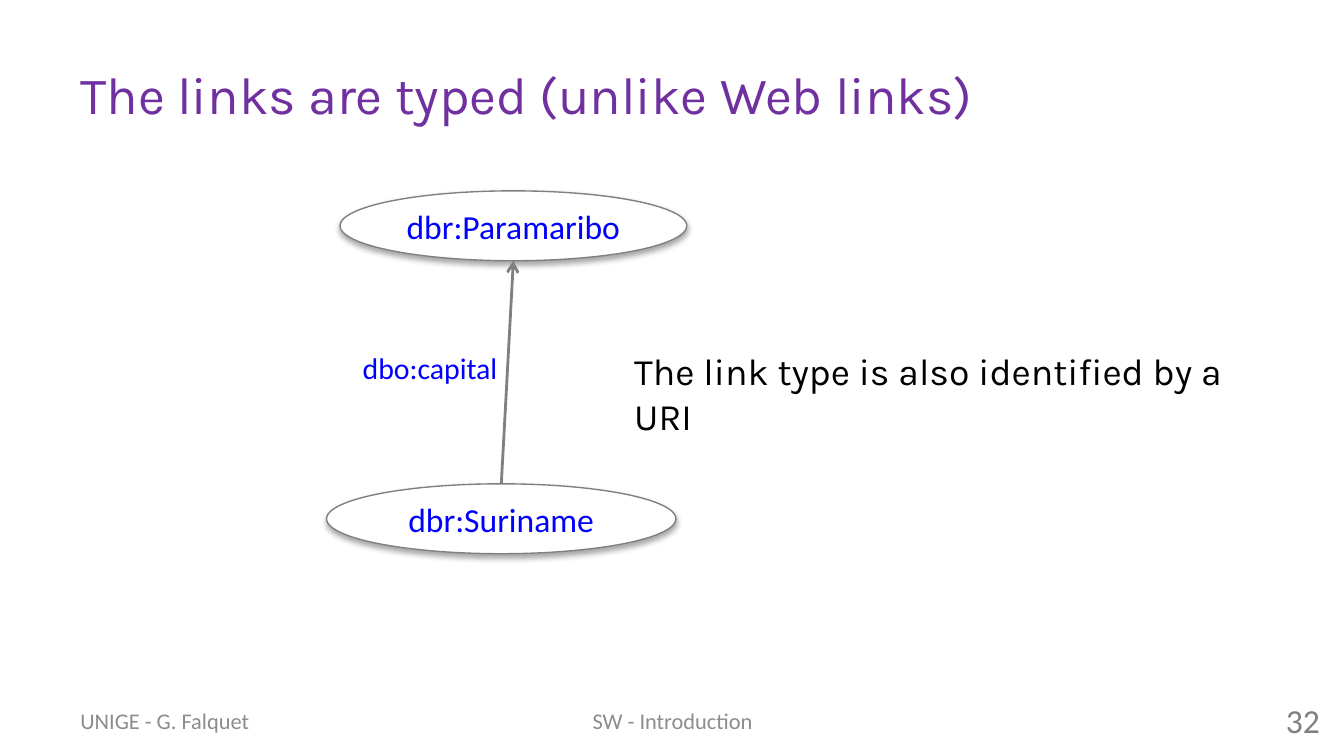
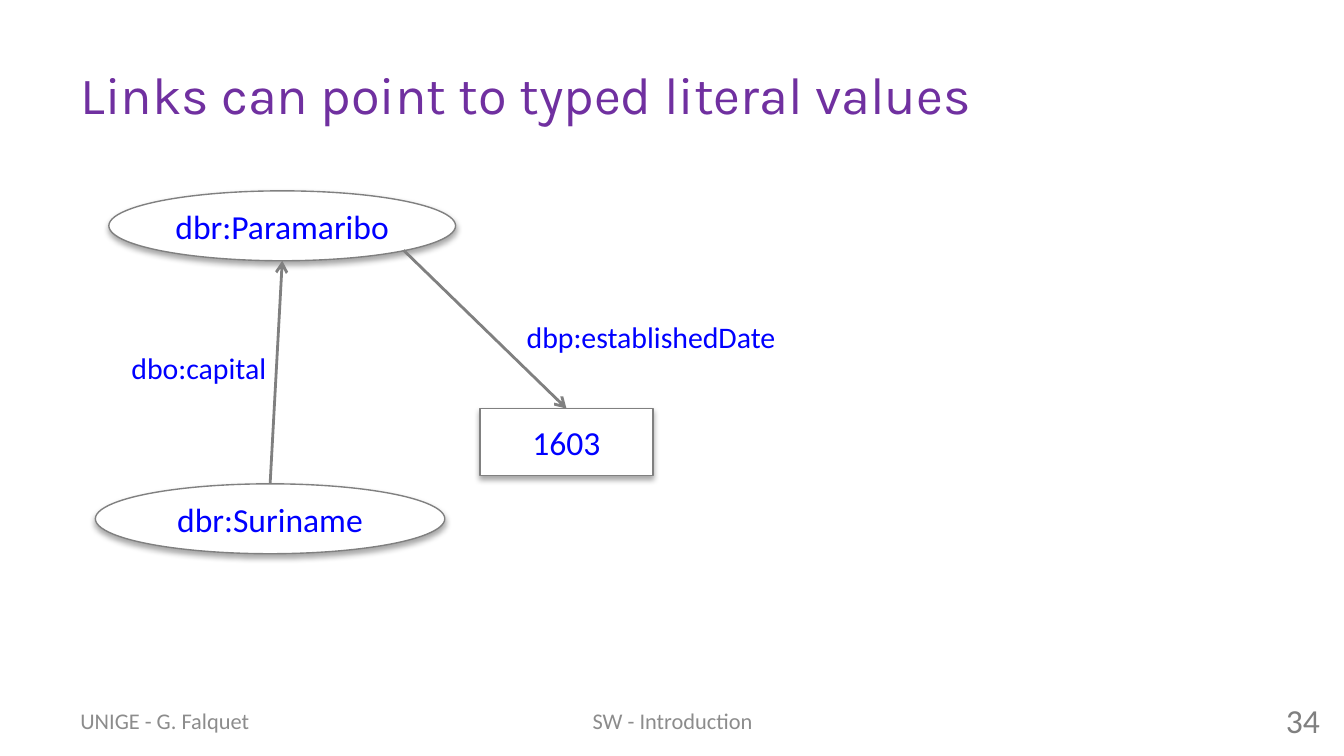
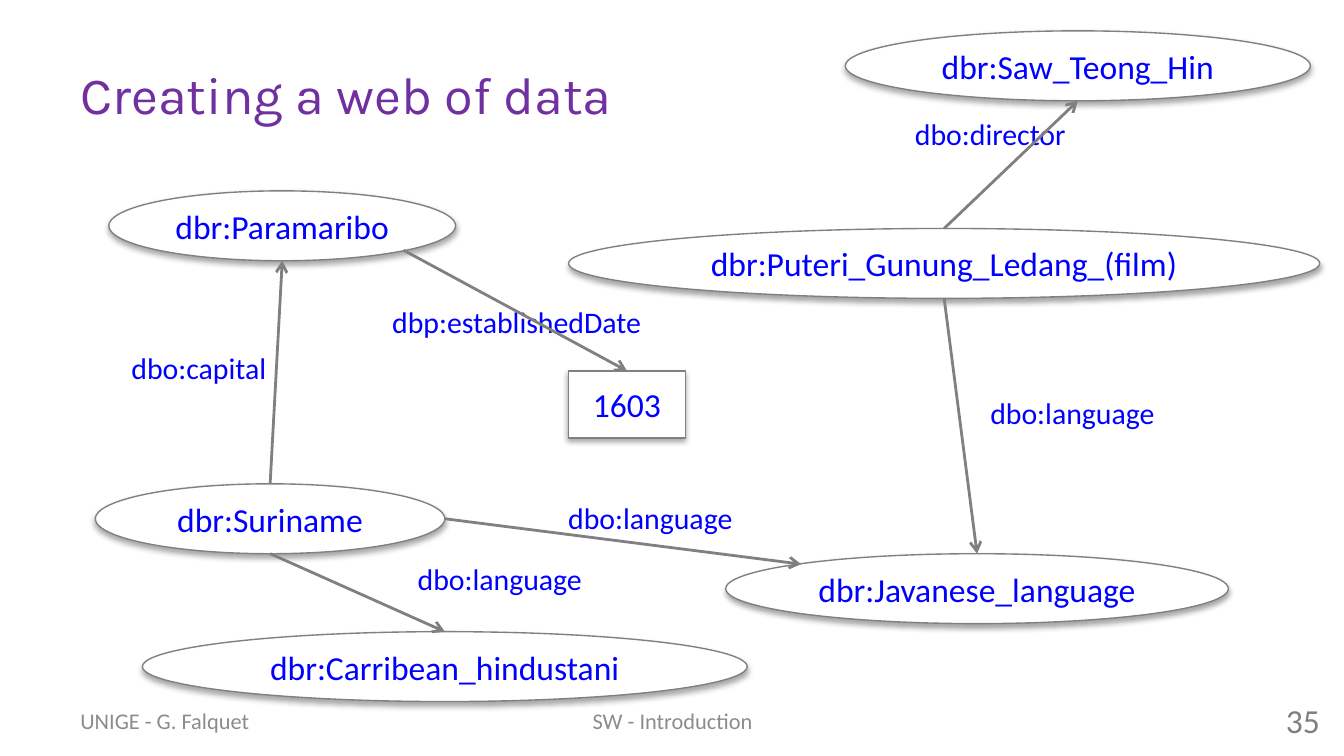
from lxml import etree
from pptx import Presentation
from pptx.dml.color import RGBColor
from pptx.enum.shapes import MSO_CONNECTOR, MSO_SHAPE
from pptx.enum.text import MSO_ANCHOR, MSO_AUTO_SIZE, PP_ALIGN
from pptx.oxml.ns import qn
from pptx.util import Inches, Pt

ELLIPSE, RECTANGLE = MSO_SHAPE.OVAL, MSO_SHAPE.RECTANGLE
STRAIGHT = MSO_CONNECTOR.STRAIGHT
LEFT, CENTER, RIGHT = PP_ALIGN.LEFT, PP_ALIGN.CENTER, PP_ALIGN.RIGHT
TOP, MIDDLE = MSO_ANCHOR.TOP, MSO_ANCHOR.MIDDLE
FIT_SHAPE = MSO_AUTO_SIZE.SHAPE_TO_FIT_TEXT

COLORS = {
    "title": "7030A0", "body": "000000", "resource": "0000FF", "line": "808080",
    "number": "808080", "footer": "8C8C8C", "node": "FFFFFF", "shadow": "000000",
}
HEADING_FONT, LABEL_FONT = "Karla", "Calibri"
ELLIPSE_HEIGHT, LITERAL_HEIGHT, LABEL_HEIGHT = 0.52, 0.5, 0.37
FOOTER_TOP, FOOTER_HEIGHT = 5.21, 0.3

# Attachment sites as fractions of a node's width and height
SITES = {
    "top": (0.5, 0), "bottom": (0.5, 1), "right": (1, 0.5),
    "top left": (0.15, 0.15), "bottom right": (0.85, 0.85),
}

CAPITAL, COUNTRY, FOUNDED = "dbr:Paramaribo", "dbr:Suriname", "1603"
FILM, DIRECTOR = "dbr:Puteri_Gunung_Ledang_(film)", "dbr:Saw_Teong_Hin"
JAVANESE, HINDUSTANI = "dbr:Javanese_language", "dbr:Carribean_hindustani"

# Nodes: name -> (left, top, width)
# Links: (source, site, target, site, label, label left, label top, label width)
CAPITAL_NODES = {CAPITAL: (0.81, 1.42, 2.58), COUNTRY: (0.71, 3.6, 2.6)}
CAPITAL_LINK = (COUNTRY, "top", CAPITAL, "bottom", "dbo:capital", 0.88, 2.55, 1.22)


def founded_link(left, top):
    return (CAPITAL, "bottom right", FOUNDED, "top",
            "dbp:establishedDate", left, top, 2.09)


def language_link(source, source_site, target, target_site, left, top):
    return (source, source_site, target, target_site, "dbo:language", left, top, 1.44)


SLIDES = [
    {
        "title": "The links are typed (unlike Web links)",
        "number": 32,
        "shift": 1.72,
        "remark": "The link type is also identified by a URI",
        "nodes": CAPITAL_NODES,
        "links": [CAPITAL_LINK],
    },
    {
        "title": "Links can point to typed literal values",
        "number": 34,
        "nodes": {**CAPITAL_NODES, FOUNDED: (3.57, 3.04, 1.29)},
        "links": [CAPITAL_LINK, founded_link(3.82, 2.32)],
    },
    {
        "title": "Creating a web of data",
        "number": 35,
        "nodes": {
            **CAPITAL_NODES,
            FOUNDED: (4.23, 2.76, 0.87),
            JAVANESE: (5.4, 4.12, 3.74),
            HINDUSTANI: (1.06, 4.7, 4.5),
            FILM: (4.23, 1.7, 5.59),
            DIRECTOR: (6.29, 0.23, 3.46),
        },
        "links": [
            CAPITAL_LINK,
            founded_link(2.82, 2.21),
            language_link(COUNTRY, "bottom", HINDUSTANI, "top", 3.01, 4.12),
            language_link(COUNTRY, "right", JAVANESE, "top left", 4.13, 3.67),
            language_link(FILM, "bottom", JAVANESE, "top", 7.27, 2.89),
            (FILM, "top", DIRECTOR, "bottom", "dbo:director", 6.71, 0.81, 1.34),
        ],
    },
]
# Footers: (text, left, width, alignment, size, color)
FOOTERS = [
    ("UNIGE - G. Falquet", 0.5, 2.33, LEFT, 12, "footer"),
    ("SW - Introduction", 3.42, 3.17, CENTER, 12, "footer"),
    ("{number}", 7.59, 2.33, RIGHT, 18, "number"),
]


def rgb(name):
    return RGBColor.from_string(COLORS[name])


def write(shape, text, size, font_name, color, alignment=LEFT, anchor=MIDDLE):
    frame = shape.text_frame
    frame.text = text
    frame.vertical_anchor = anchor
    paragraph = frame.paragraphs[0]
    paragraph.alignment = alignment
    paragraph.font.size = Pt(size)
    paragraph.font.name = font_name
    paragraph.font.color.rgb = rgb(color)


def add_text(slide, box, text, *style, wrap=True, **options):
    shape = slide.shapes.add_textbox(*map(Inches, box))
    write(shape, text, *style, **options)
    shape.text_frame.word_wrap = wrap
    if not wrap:
        shape.text_frame.auto_size = FIT_SHAPE


def add_shadow(shape):
    shape.shadow.inherit = False
    effects = shape._element.spPr.find(qn("a:effectLst"))
    shadow = etree.SubElement(
        effects, qn("a:outerShdw"), blurRad=str(Pt(3.1)), dist=str(Pt(1.8)),
        dir="5400000", rotWithShape="0")
    color = etree.SubElement(shadow, qn("a:srgbClr"), val=COLORS["shadow"])
    etree.SubElement(color, qn("a:alpha"), val="35000")


def add_node(slide, name, left, top, width):
    is_literal = name == FOUNDED
    kind = RECTANGLE if is_literal else ELLIPSE
    height = LITERAL_HEIGHT if is_literal else ELLIPSE_HEIGHT
    shape = slide.shapes.add_shape(kind, *map(Inches, (left, top, width, height)))
    shape.fill.solid()
    shape.fill.fore_color.rgb = rgb("node")
    shape.line.color.rgb = rgb("line")
    shape.line.width = Pt(0.75)
    add_shadow(shape)
    write(shape, name, 18, LABEL_FONT, "resource", CENTER)
    return shape


def site_point(shape, site):
    across, down = SITES[site]
    return (round(shape.left + across * shape.width),
            round(shape.top + down * shape.height))


def add_arrow(slide, source, source_site, target, target_site):
    connector = slide.shapes.add_connector(
        STRAIGHT, *site_point(source, source_site), *site_point(target, target_site))
    # Top is site 0 on both ellipses and rectangles
    if source_site == "top":
        connector.begin_connect(source, 0)
    if target_site == "top":
        connector.end_connect(target, 0)
    connector.line.color.rgb = rgb("line")
    connector.line.width = Pt(1.5)
    properties = connector._element.spPr
    etree.SubElement(properties.find(qn("a:ln")), qn("a:tailEnd"), type="arrow")
    etree.SubElement(properties, qn("a:effectLst"))


def build_slide(presentation, content):
    slide = presentation.slides.add_slide(presentation.slide_layouts[5])

    # Title
    title = slide.shapes.title
    title.left, title.top, title.width, title.height = map(Inches, (0.5, 0.23, 9, 0.94))
    write(title, content["title"], 28, HEADING_FONT, "title")

    # Graph: nodes, then labelled arrows
    shift = content.get("shift", 0)
    nodes = {name: add_node(slide, name, left + shift, top, width)
             for name, (left, top, width) in content["nodes"].items()}
    for source, source_site, target, target_site, label, left, top, width in content["links"]:
        add_text(slide, (left + shift, top, width, LABEL_HEIGHT), label,
                 16, LABEL_FONT, "resource", anchor=TOP, wrap=False)
        add_arrow(slide, nodes[source], source_site, nodes[target], target_site)

    # Remark beside the graph
    if "remark" in content:
        add_text(slide, (4.62, 2.54, 4.88, 0.44), content["remark"],
                 20, HEADING_FONT, "body", anchor=TOP)

    # Footers
    for text, left, width, alignment, size, color in FOOTERS:
        add_text(slide, (left, FOOTER_TOP, width, FOOTER_HEIGHT),
                 text.format(number=content["number"]),
                 size, LABEL_FONT, color, alignment)


def main():
    presentation = Presentation()
    presentation.slide_width = Inches(10)
    presentation.slide_height = Inches(10 * 9 / 16)
    for content in SLIDES:
        build_slide(presentation, content)
    presentation.save("out.pptx")


if __name__ == "__main__":
    main()
